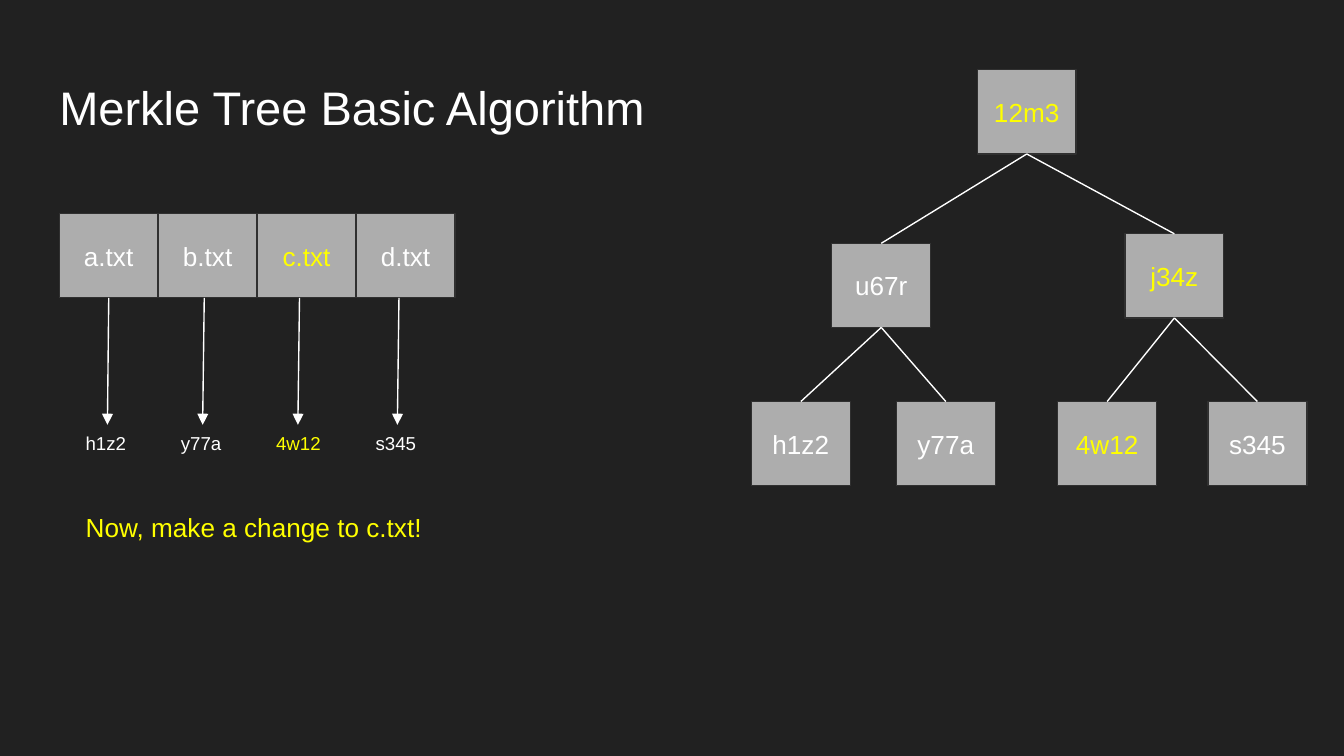
from dataclasses import dataclass

from lxml.etree import SubElement
from pptx import Presentation
from pptx.dml.color import RGBColor as Rgb
from pptx.enum.shapes import MSO_CONNECTOR as Connector, MSO_SHAPE as Preset
from pptx.enum.text import MSO_ANCHOR as Anchor, MSO_AUTO_SIZE as AutoSize, PP_ALIGN as Align
from pptx.oxml.ns import qn
from pptx.util import Cm, Pt


@dataclass(frozen=True)
class Theme:
    background: Rgb = Rgb(0x21, 0x21, 0x21)
    text: Rgb = Rgb(0xFF, 0xFF, 0xFF)
    changed: Rgb = Rgb(0xFF, 0xFF, 0x00)
    box: Rgb = Rgb(0xAD, 0xAD, 0xAD)
    border: Rgb = Rgb(0x30, 0x30, 0x30)
    font: str = "Arial"
    title_size: float = 25.2
    body_size: float = 14
    hash_size: float = 10
    line_width: float = 0.75


BOX_WIDTH, BOX_HEIGHT = 1.87, 1.59
TOP, BOTTOM = 0, 2
CHANGED = {"c.txt", "4w12", "j34z", "12m3"}


class SlideBuilder:
    def __init__(self, slide, theme):
        self.slide = slide
        self.theme = theme
        slide.background.fill.solid()
        slide.background.fill.fore_color.rgb = theme.background

    def set_text(self, shape, words, size, color, align=Align.LEFT, anchor=Anchor.TOP):
        frame = shape.text_frame
        frame.word_wrap = True
        frame.auto_size = AutoSize.NONE
        frame.vertical_anchor = anchor
        frame.margin_left = frame.margin_right = Cm(0.25)
        frame.margin_top = frame.margin_bottom = Cm(0.25)
        frame.text = words
        paragraph = frame.paragraphs[0]
        paragraph.alignment = align
        paragraph.font.name = self.theme.font
        paragraph.font.size = Pt(size)
        paragraph.font.color.rgb = color

    def color_of(self, words):
        return self.theme.changed if words in CHANGED else self.theme.text

    def title(self, words, left, top, width, height):
        heading = self.slide.shapes.title
        heading.left, heading.top = Cm(left), Cm(top)
        heading.width, heading.height = Cm(width), Cm(height)
        self.set_text(heading, words, self.theme.title_size, self.theme.text)

    def label(self, words, left, top, width, height, size, color):
        box = self.slide.shapes.add_textbox(Cm(left), Cm(top), Cm(width), Cm(height))
        self.set_text(box, words, size, color)

    def box(self, words, left, top):
        box = self.slide.shapes.add_shape(
            Preset.RECTANGLE, Cm(left), Cm(top), Cm(BOX_WIDTH), Cm(BOX_HEIGHT))
        box.shadow.inherit = False
        box.fill.solid()
        box.fill.fore_color.rgb = self.theme.box
        box.line.color.rgb = self.theme.border
        box.line.width = Pt(self.theme.line_width)
        self.set_text(box, words, self.theme.body_size, self.color_of(words),
                      Align.CENTER, Anchor.MIDDLE)
        return box

    def line(self, start=(0, 0), end=(0, 0), arrow=False):
        line = self.slide.shapes.add_connector(
            Connector.STRAIGHT, *(Cm(value) for value in (*start, *end)))
        line.line.color.rgb = self.theme.text
        line.line.width = Pt(self.theme.line_width)
        if arrow:
            SubElement(line.line._get_or_add_ln(), qn("a:tailEnd"), type="triangle")
        SubElement(line._element.spPr, qn("a:effectLst"))
        return line

    def branch(self, parent, child):
        line = self.line()
        line.begin_connect(parent, BOTTOM)
        line.end_connect(child, TOP)


def draw_files(builder):
    files = [
        ("a.txt", "h1z2", 2.06),
        ("b.txt", "y77a", 3.86),
        ("c.txt", "4w12", 5.66),
        ("d.txt", "s345", 7.54),
    ]
    left, top = 1.12, 4.04
    for column, (file_name, file_hash, arrow_x) in enumerate(files):
        file_left = left + column * BOX_WIDTH
        file_box = builder.box(file_name, file_left, top)
        arrow = builder.line((arrow_x, top + BOX_HEIGHT), (arrow_x - 0.03, 8.03), arrow=True)
        if abs(arrow_x - file_left - BOX_WIDTH / 2) < 0.02:
            arrow.begin_connect(file_box, BOTTOM)
        builder.label(file_hash, arrow_x - 0.69, 7.92, 1.63, 0.94,
                      builder.theme.hash_size, builder.color_of(file_hash))


def draw_tree(builder):
    positions = {
        "12m3": (18.47, 1.32),
        "u67r": (15.72, 4.6),
        "j34z": (21.26, 4.42),
        "h1z2": (14.2, 7.59),
        "y77a": (16.94, 7.59),
        "4w12": (19.99, 7.59),
        "s345": (22.83, 7.59),
    }
    children = {
        "12m3": ("u67r", "j34z"),
        "u67r": ("h1z2", "y77a"),
        "j34z": ("4w12", "s345"),
    }
    nodes = {name: builder.box(name, *place) for name, place in positions.items()}
    for parent, pair in children.items():
        for child in pair:
            builder.branch(nodes[parent], nodes[child])


def main():
    deck = Presentation()
    deck.slide_width, deck.slide_height = Cm(25.4), Cm(14.29)
    theme = Theme()
    builder = SlideBuilder(deck.slides.add_slide(deck.slide_layouts[5]), theme)
    builder.title("Merkle Tree Basic Algorithm", 0.87, 1.24, 23.67, 1.6)
    draw_files(builder)
    draw_tree(builder)
    builder.label("Now, make a change to c.txt!", 1.37, 9.42, 7.11, 1.12,
                  theme.body_size, theme.changed)
    deck.save("out.pptx")


if __name__ == "__main__":
    main()
